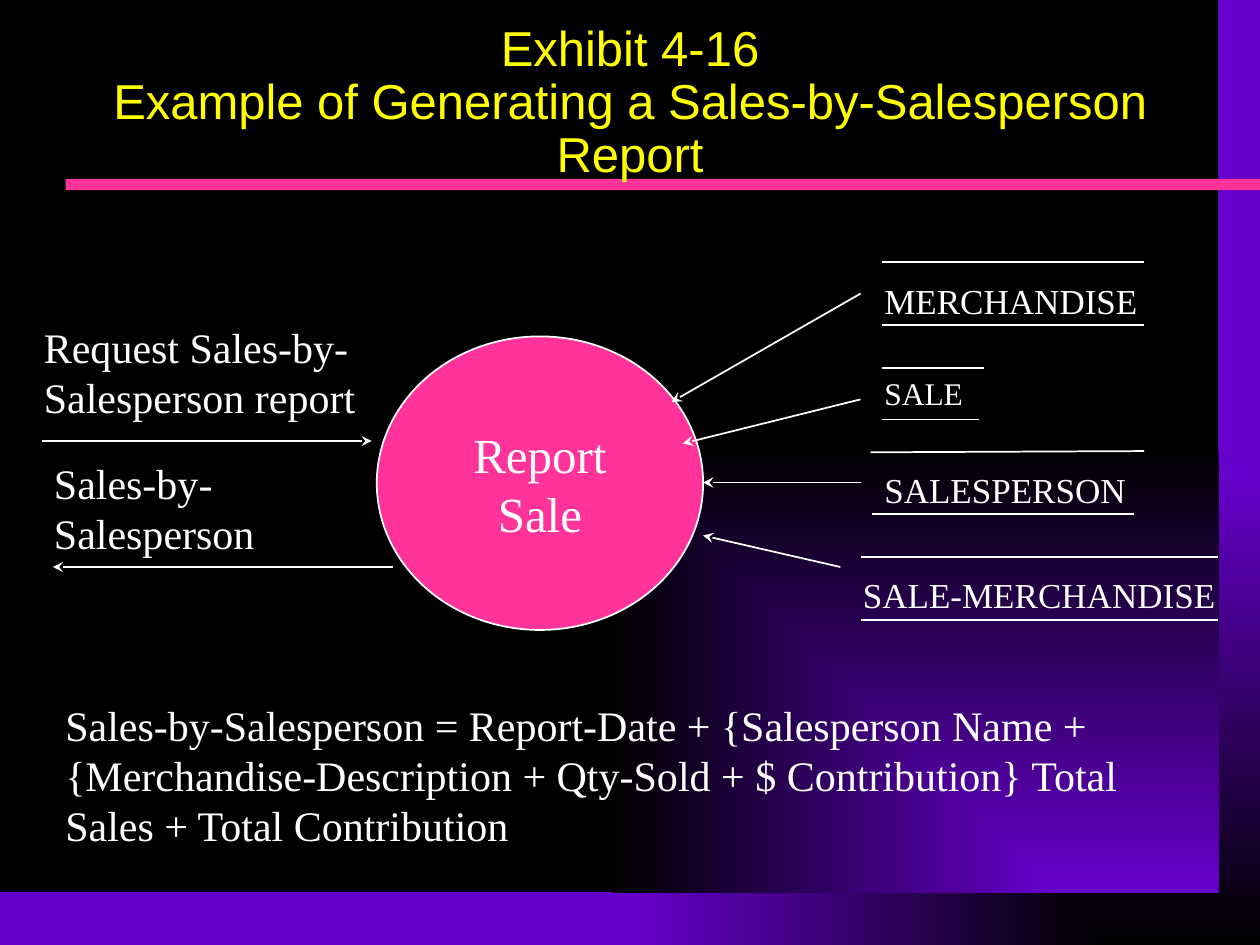
from lxml.etree import SubElement
from pptx import Presentation
from pptx.dml.color import RGBColor
from pptx.enum.shapes import MSO_CONNECTOR as Connector, MSO_SHAPE as Shape
from pptx.enum.text import MSO_ANCHOR as Anchor, MSO_AUTO_SIZE as AutoSize, PP_ALIGN as Align
from pptx.oxml.ns import qn
from pptx.util import Inches, Pt

COLORS = {"black": "000000", "purple": "6600CC", "pink": "FF3399", "yellow": "FFFF00", "white": "FFFFFF"}
SERIF = "Times New Roman"

TITLE = ["Exhibit 4-16", "Example of Generating a Sales-by-Salesperson Report"]
PROCESS = ["Report", "Sale"]
NOTES = [
    (["Request Sales-by-", "Salesperson report"], (0.25, 2.5, 2.75, 0.9)),
    (["Sales-by-", "Salesperson"], (0.33, 3.58, 2.11, 0.9)),
    (["Sales-by-Salesperson = Report-Date + {Salesperson Name + {Merchandise-Description"
      " + Qty-Sold + $ Contribution} Total Sales + Total Contribution"], (0.42, 5.5, 8.92, 1.3)),
]
STORES = [
    ("MERCHANDISE", 20, (6.92, 2.17, 2.21, 0.43)),
    ("SALE", 18, (6.92, 2.92, 0.83, 0.4)),
    ("SALESPERSON", 20, (6.92, 3.67, 2.12, 0.43)),
    ("SALE-MERCHANDISE", 20, (6.75, 4.5, 3, 0.43)),
]
STORE_RULES = [
    (7, 2.08, 9.08, 2.08), (7, 2.58, 9.08, 2.58),
    (7, 2.92, 7.81, 2.92), (7, 3.33, 7.77, 3.33),
    (6.91, 3.59, 9.08, 3.58), (6.92, 4.08, 9, 4.08),
    (6.83, 4.42, 9.67, 4.42), (6.83, 4.92, 9.67, 4.92),
]
FLOWS = [
    (0.33, 3.5, 2.95, 3.5), (3.12, 4.5, 0.42, 4.5),
    (6.83, 2.33, 5.33, 3.19), (6.83, 3.17, 5.42, 3.52),
    (6.83, 3.83, 5.58, 3.83), (6.67, 4.5, 5.58, 4.25),
]


def color(name):
    return RGBColor.from_string(COLORS[name])


def inches(values):
    return [Inches(value) for value in values]


def corner_gradient(fill, owner, first, last):
    fill.gradient()
    gradient = owner.xpath(".//a:gradFill")[0]
    for child in list(gradient):
        gradient.remove(child)
    stops = SubElement(gradient, qn("a:gsLst"))
    for position, name in ((0, first), (100000, last)):
        stop = SubElement(stops, qn("a:gs"), pos=str(position))
        SubElement(stop, qn("a:srgbClr"), val=COLORS[name])
    route = SubElement(gradient, qn("a:path"))
    route.set("path", "rect")
    SubElement(route, qn("a:fillToRect"), l="100000", t="100000")


def add_span(para, text, size, font=SERIF, tint="white"):
    span = para.add_run()
    span.text = text
    span.font.size = Pt(size)
    span.font.name = font
    span.font.color.rgb = color(tint)


def write(frame, lines, size, align=Align.LEFT):
    for index, line in enumerate(lines):
        para = frame.add_paragraph() if index else frame.paragraphs[0]
        para.alignment = align
        add_span(para, line, size)


def add_text(page, lines, size, place, wrap):
    frame = page.shapes.add_textbox(*inches(place)).text_frame
    frame.word_wrap = wrap
    frame.auto_size = AutoSize.SHAPE_TO_FIT_TEXT
    write(frame, lines, size)


def add_shape(page, kind, place):
    shape = page.shapes.add_shape(kind, *inches(place))
    shape.shadow.inherit = False
    shape.fill.solid()
    shape.fill.fore_color.rgb = color("pink")
    shape.line.fill.background()
    return shape


def add_line(page, ends, arrow=False):
    line = page.shapes.add_connector(Connector.STRAIGHT, *inches(ends))
    line.line.color.rgb = color("white")
    line.line.width = Pt(1)
    if arrow:
        SubElement(line.line._get_or_add_ln(), qn("a:tailEnd"), type="stealth")
    SubElement(line.element.spPr, qn("a:effectLst"))


def add_title(page):
    title = page.shapes.title
    title.left, title.top, title.width, title.height = inches((0.5, 0.33, 9, 0.99))
    frame = title.text_frame
    frame.word_wrap = True
    frame.auto_size = AutoSize.NONE
    frame.vertical_anchor = Anchor.MIDDLE
    para = frame.paragraphs[0]
    para.alignment = Align.CENTER
    para.line_spacing = 0.9
    for index, line in enumerate(TITLE):
        if index:
            para.add_line_break()
        add_span(para, line, 28, "Arial", "yellow")


def add_backdrop(page):
    corner_gradient(page.background.fill, page.element, "black", "purple")
    panel = add_shape(page, Shape.RECTANGLE, (0, 0, 9.67, 7.08))
    corner_gradient(panel.fill, panel.element, "purple", "black")
    bar = add_shape(page, Shape.RECTANGLE, (0.52, 1.42, 9.48, 0.09))
    for part in (panel, bar):
        page.shapes.title.element.addprevious(part.element)


def add_process(page):
    circle = add_shape(page, Shape.OVAL, (2.99, 2.67, 2.59, 2.33))
    circle.line.color.rgb = color("white")
    circle.line.width = Pt(1)
    circle.text_frame.word_wrap = False
    circle.text_frame.vertical_anchor = Anchor.MIDDLE
    write(circle.text_frame, PROCESS, 28, Align.CENTER)


def main():
    """Build the data flow slide for the sales report."""
    deck = Presentation()
    deck.slide_width, deck.slide_height = inches((10, 7.5))
    page = deck.slides.add_slide(deck.slide_layouts[5])
    add_backdrop(page)
    add_title(page)
    add_process(page)
    for lines, place in NOTES:
        add_text(page, lines, 24, place, True)
    for name, size, place in STORES:
        add_text(page, [name], size, place, False)
    for ends in STORE_RULES:
        add_line(page, ends)
    for ends in FLOWS:
        add_line(page, ends, arrow=True)
    deck.save("out.pptx")


if __name__ == "__main__":
    main()
